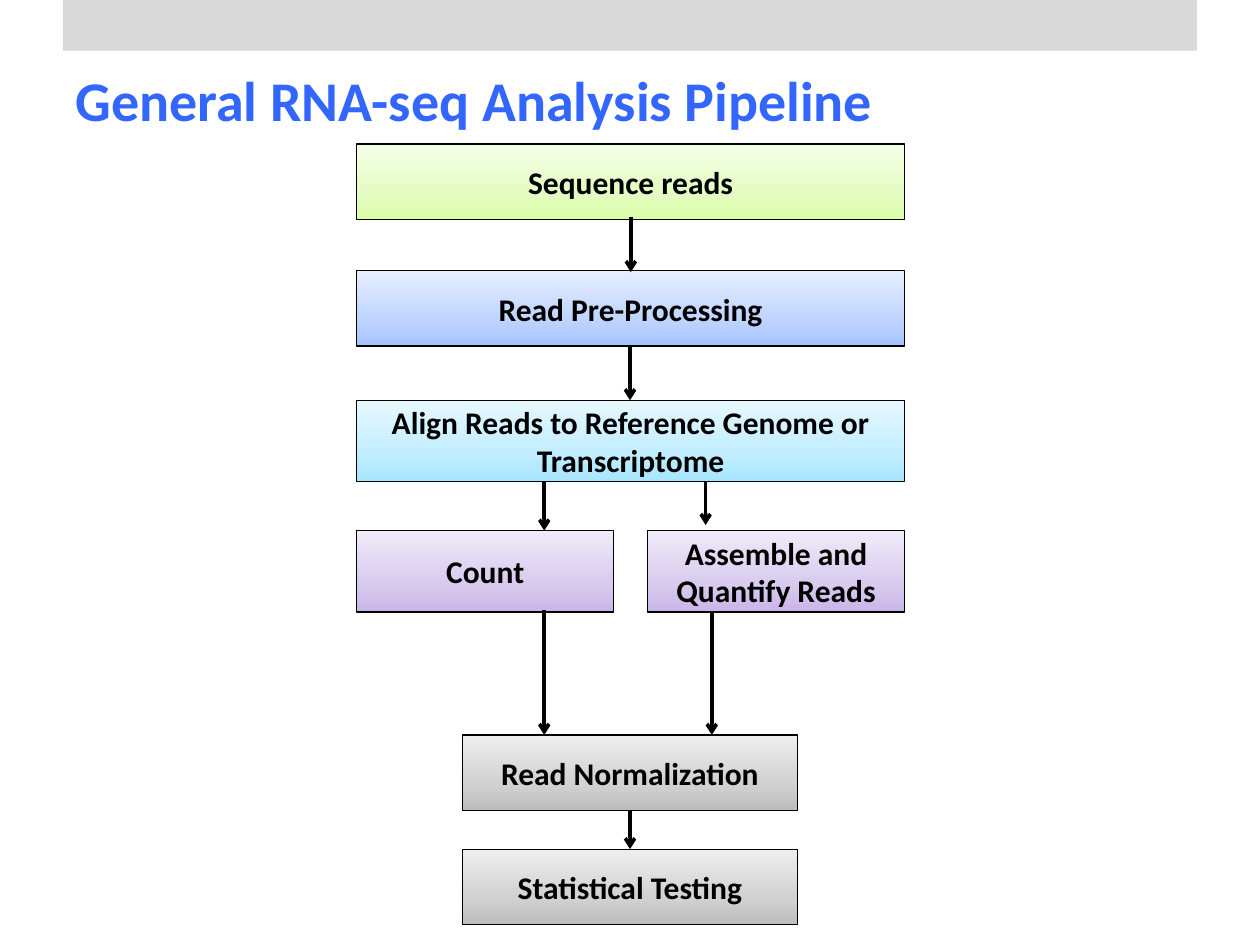
from copy import deepcopy

from pptx import Presentation
from pptx.dml.color import RGBColor
from pptx.enum import shapes, text
from pptx.oxml import ns, xmlchemy
from pptx.util import Pt

COLORS = {
    "banner": "D9D9D9",
    "title": "3366FF",
    "ink": "000000",
    "green": ("DAFDA7", "E4FCC2", "F5FFE7"),
    "blue": ("A4C4FF", "BFD4FF", "E6EEFF"),
    "cyan": ("A7E6FF", "C1EDFF", "E7F8FF"),
    "purple": ("C9B5E8", "D8CBEE", "F0EAF9"),
    "gray": ("BDBDBD", "D1D1D1", "EEEEEE"),
}


class Pipeline:
    """Draws flowchart elements on one slide in a shared style."""

    font = "Calibri"
    stops = (0, 0.35, 1)

    def __init__(self, slide):
        self.s = slide

    def color(self, name):
        return RGBColor.from_string(COLORS[name])

    def label(self, sp, words, size, color, align):
        tf = sp.text_frame
        tf.word_wrap = True
        tf.vertical_anchor = text.MSO_ANCHOR.MIDDLE
        tf.text = words
        p = tf.paragraphs[0]
        p.alignment = align
        font = p.runs[0].font
        font.name, font.size, font.bold = self.font, Pt(size), True
        font.color.rgb = self.color(color)

    def rect(self, x, y, w, h):
        sp = self.s.shapes.add_shape(
            shapes.MSO_SHAPE.RECTANGLE, Pt(x), Pt(y), Pt(w), Pt(h))
        sp.shadow.inherit = False
        return sp

    def banner(self, x, y, w, h):
        sp = self.rect(x, y, w, h)
        sp.fill.solid()
        sp.fill.fore_color.rgb = self.color("banner")
        sp.line.fill.background()

    def title(self, words, x, y, w, h):
        sp = self.s.shapes.add_textbox(Pt(x), Pt(y), Pt(w), Pt(h))
        self.label(sp, words, 32, "title", text.PP_ALIGN.LEFT)

    def box(self, words, palette, x, y, w, h):
        sp = self.rect(x, y, w, h)
        sp.fill.gradient()
        sp.fill.gradient_angle = 90
        first = sp._element.spPr.find(".//" + ns.qn("a:gs"))
        first.addnext(deepcopy(first))
        for stop, pos, rgb in zip(sp.fill.gradient_stops, self.stops, COLORS[palette]):
            stop.position = pos
            stop.color.rgb = RGBColor.from_string(rgb)
        sp.line.color.rgb = self.color("ink")
        sp.line.width = Pt(0.75)
        self.label(sp, words, 18, "ink", text.PP_ALIGN.CENTER)

    def arrow(self, x, top, bottom):
        c = self.s.shapes.add_connector(
            shapes.MSO_CONNECTOR.STRAIGHT, Pt(x), Pt(top), Pt(x), Pt(bottom))
        c.line.color.rgb = self.color("ink")
        c.line.width = Pt(2)
        tail = xmlchemy.OxmlElement("a:tailEnd")
        tail.set("type", "arrow")
        c.line._get_or_add_ln().append(tail)
        c._element.spPr.append(xmlchemy.OxmlElement("a:effectLst"))


def main():
    prs = Presentation()
    prs.slide_width, prs.slide_height = Pt(720), Pt(540)
    d = Pipeline(prs.slides.add_slide(prs.slide_layouts[6]))
    d.banner(36, 0, 648, 29)
    d.title("General RNA-seq Analysis Pipeline", 36, 11.5, 648, 90)

    left, wide, half = 203.75, 313.25, 147
    inner, narrow = 264.25, 191.5
    low, tall = 43, 46.5
    for words, palette, x, y, w, h in (
        ("Sequence reads", "green", left, 82.25, wide, low),
        ("Read Pre-Processing", "blue", left, 154.75, wide, low),
        ("Align Reads to Reference Genome or Transcriptome", "cyan",
         left, 228.75, wide, tall),
        ("Count", "purple", left, 303.25, half, tall),
        ("Assemble and Quantify Reads", "purple",
         left + wide - half, 303.25, half, tall),
        ("Read Normalization", "gray", inner, 420, narrow, low),
        ("Statistical Testing", "gray", inner, 485.25, narrow, low),
    ):
        d.box(words, palette, x, y, w, h)

    for x, top, bottom in (
        (360.5, 124, 155.5),
        (360, 197, 228.75),
        (311, 275, 303.25),
        (403.25, 275, 300),
        (311, 348.5, 420),
        (406.75, 349.75, 420),
        (360, 463, 485.25),
    ):
        d.arrow(x, top, bottom)
    prs.save("out.pptx")


if __name__ == "__main__":
    main()
